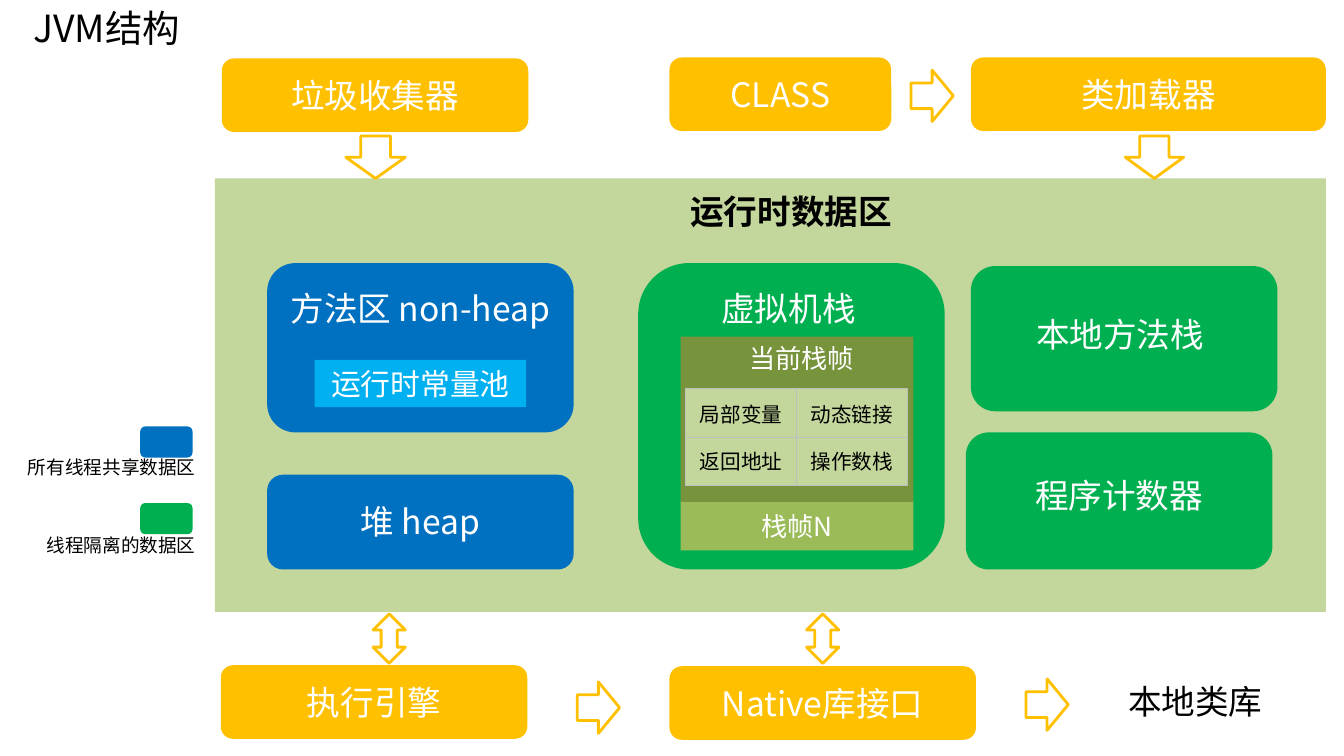
"""Builds the JVM structure slide: runtime data areas and surrounding components."""
from lxml import etree
from pptx import Presentation
from pptx.dml.color import RGBColor
from pptx.enum.shapes import MSO_SHAPE as SHAPE
from pptx.enum.text import MSO_ANCHOR as ANCHOR, PP_ALIGN as ALIGN
from pptx.oxml.ns import qn
from pptx.util import Inches, Pt

FONT = "Noto Sans CJK SC"
COLORS = {
    "white": "FFFFFF", "black": "000000", "gold": "FFC000",
    "area": "C3D69B", "shared": "0070C0", "isolated": "00B050",
    "pool": "00B0F0", "frame": "77933C", "frame_n": "9BBB59", "grid": "BFBFBF",
}


def add_text(sp, text, size, color="white", align=ALIGN.CENTER, bold=False):
    tf = sp.text_frame
    tf.word_wrap = True
    tf.vertical_anchor = ANCHOR.MIDDLE
    tf.margin_left = tf.margin_right = Inches(0.1)
    tf.margin_top = tf.margin_bottom = 0
    p = tf.paragraphs[0]
    p.alignment = align
    r = p.add_run()
    r.text = text
    r.font.name = FONT
    r.font.size = Pt(size)
    r.font.bold = bold
    r.font.color.rgb = RGBColor.from_string(COLORS[color])
    etree.SubElement(r.font._element, qn("a:ea")).set("typeface", FONT)


def add_box(kind, box, fill, line=None, width=0.25):
    sp = s.shapes.add_shape(kind, *map(Inches, box))
    sp.shadow.inherit = False
    sp.fill.solid()
    sp.fill.fore_color.rgb = RGBColor.from_string(COLORS[fill])
    if line:
        sp.line.color.rgb = RGBColor.from_string(COLORS[line])
        sp.line.width = Pt(width)
    else:
        sp.line.fill.background()
    return sp


prs = Presentation()
prs.slide_width, prs.slide_height = Inches(13.33), Inches(7.5)
s = prs.slides.add_slide(prs.slide_layouts[6])

add_box(SHAPE.RECTANGLE, (2.13, 1.77, 11.02, 4.3), "area")

for box, fill in [
    ((2.65, 2.61, 3.04, 1.68), "shared"),
    ((2.65, 4.71, 3.04, 0.94), "shared"),
    ((6.33, 2.61, 3.04, 3.04), "isolated"),
    ((9.63, 2.64, 3.04, 1.44), "isolated"),
    ((9.58, 4.29, 3.04, 1.36), "isolated"),
    ((1.39, 4.23, 0.52, 0.31), "shared"),
    ((1.39, 4.99, 0.52, 0.31), "isolated"),
]:
    add_box(SHAPE.ROUNDED_RECTANGLE, box, fill)

for box, fill, text, size in [
    ((3.12, 3.57, 2.1, 0.47), "pool", "运行时常量池", 21.3),
    ((6.75, 4.97, 2.31, 0.49), "frame_n", "栈帧N", 18.7),
    ((6.75, 3.34, 2.31, 1.64), "frame", "", 18.7),
]:
    sp = add_box(SHAPE.RECTANGLE, box, fill)
    if text:
        add_text(sp, text, size)

frame_parts = [(3.85, 0.51, ("局部变量", "动态链接")),
               (4.34, 0.47, ("返回地址", "操作数栈"))]
for top, height, names in frame_parts:
    for col, name in enumerate(names):
        cell = add_box(SHAPE.RECTANGLE, (6.8 + 1.1 * col, top, 1.1, height), "area", "grid")
        add_text(cell, name, 14.7, "black")

for left, top, width, text in [
    (2.2, 0.58, 3.04, "垃圾收集器"),
    (6.64, 0.57, 2.2, "CLASS"),
    (9.63, 0.57, 3.52, "类加载器"),
    (2.19, 6.6, 3.04, "执行引擎"),
    (6.64, 6.61, 3.04, "Native库接口"),
]:
    add_text(add_box(SHAPE.ROUNDED_RECTANGLE, (left, top, width, 0.73), "gold"), text, 24)

for kind, box, rotation in [
    (SHAPE.DOWN_ARROW, (3.43, 1.35, 0.59, 0.42), 0),
    (SHAPE.DOWN_ARROW, (11.16, 1.35, 0.58, 0.42), 0),
    (SHAPE.DOWN_ARROW, (8.99, 0.74, 0.51, 0.42), 270),
    (SHAPE.DOWN_ARROW, (5.68, 6.81, 0.51, 0.42), 270),
    (SHAPE.DOWN_ARROW, (10.13, 6.78, 0.51, 0.42), 270),
    (SHAPE.UP_DOWN_ARROW, (3.7, 6.09, 0.32, 0.49), 0),
    (SHAPE.UP_DOWN_ARROW, (8, 6.09, 0.32, 0.49), 0),
]:
    add_box(kind, box, "white", "gold", 2).rotation = rotation

for box, text, size, color, align, bold in [
    ((0.23, 0, 4.93, 0.55), "JVM结构", 26.7, "black", ALIGN.LEFT, False),
    ((5.69, 1.84, 4.31, 0.5), "运行时数据区", 24, "black", ALIGN.CENTER, True),
    ((2.7, 2.81, 2.94, 0.5), "方法区 non-heap", 24, "white", ALIGN.CENTER, False),
    ((2.7, 4.92, 2.94, 0.5), "堆 heap", 24, "white", ALIGN.CENTER, False),
    ((6.35, 2.81, 2.94, 0.5), "虚拟机栈", 24, "white", ALIGN.CENTER, False),
    ((9.64, 3.06, 2.94, 0.5), "本地方法栈", 24, "white", ALIGN.CENTER, False),
    ((9.63, 4.66, 2.94, 0.5), "程序计数器", 24, "white", ALIGN.CENTER, False),
    ((7.06, 3.34, 1.78, 0.42), "当前栈帧", 18.7, "white", ALIGN.CENTER, False),
    ((11.09, 6.71, 2.06, 0.5), "本地类库", 24, "black", ALIGN.LEFT, False),
    ((0, 4.47, 2.04, 0.33), "所有线程共享数据区", 13.3, "black", ALIGN.RIGHT, False),
    ((0, 5.24, 2.04, 0.33), "线程隔离的数据区", 13.3, "black", ALIGN.RIGHT, False),
]:
    add_text(s.shapes.add_textbox(*map(Inches, box)), text, size, color, align, bold)

prs.save("out.pptx")
